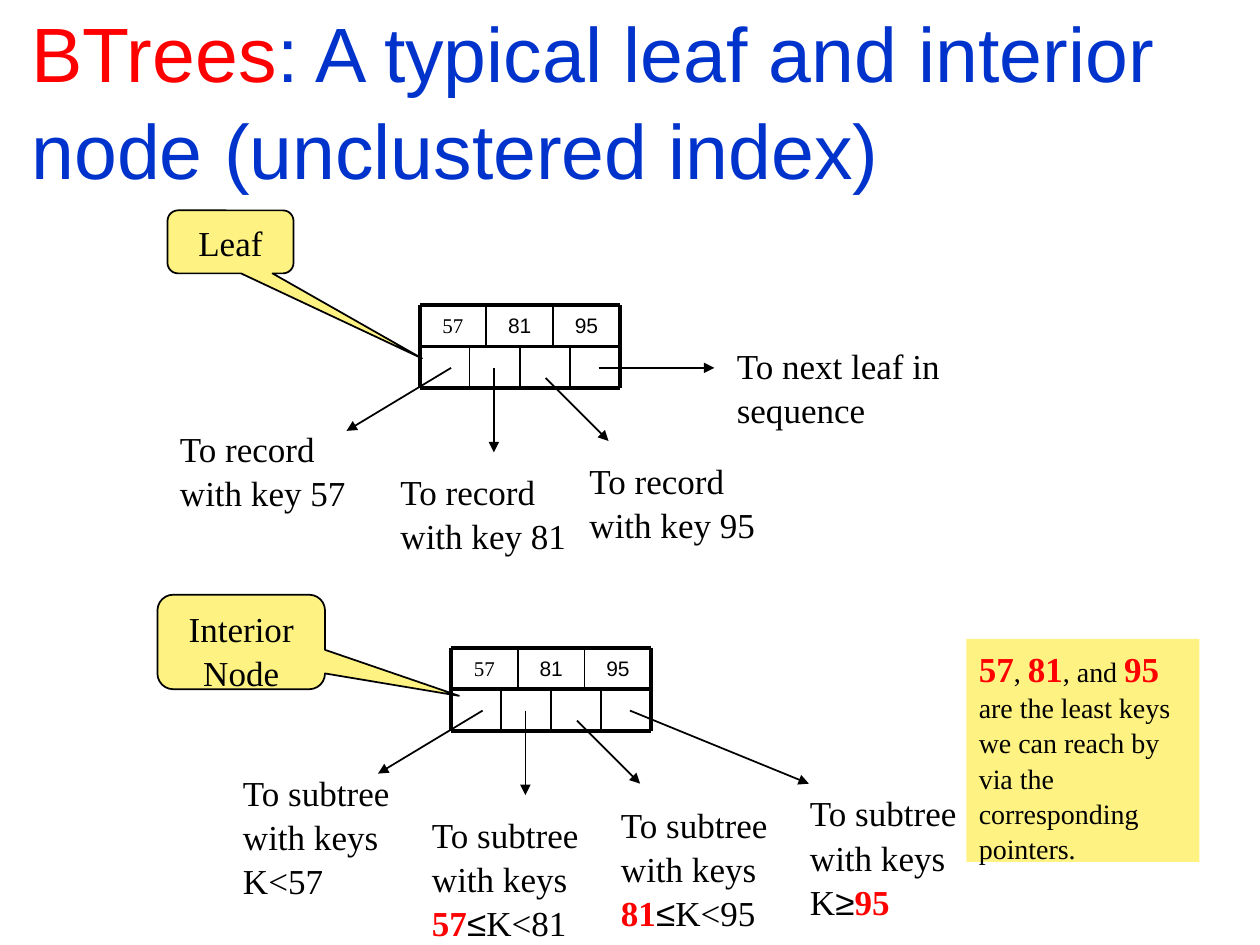
import lxml.etree
import pptx
import pptx.util
import pptx.dml.color
import pptx.enum.shapes
import pptx.enum.text
import pptx.oxml.ns
from pptx.util import Inches

BLACK = pptx.dml.color.RGBColor(0x00, 0x00, 0x00)
RED = pptx.dml.color.RGBColor(0xFF, 0x00, 0x00)
BLUE = pptx.dml.color.RGBColor(0x00, 0x33, 0xCC)
YELLOW = pptx.dml.color.RGBColor(0xFE, 0xF2, 0x82)
SHAPE = pptx.enum.shapes.MSO_SHAPE
ALIGN = pptx.enum.text.PP_ALIGN
ANCHOR = pptx.enum.text.MSO_ANCHOR
AUTO_SIZE = pptx.enum.text.MSO_AUTO_SIZE

FORMATS = {
    "title": {"name": "Arial", "size": 44, "color": BLUE},
    "title_red": {"name": "Arial", "size": 44, "color": RED},
    "text": {"name": "Times New Roman", "size": 20, "color": BLACK},
    "symbol": {"name": "Arial", "size": 20, "color": BLACK},
    "key": {"name": "Times New Roman", "size": 20, "color": RED, "bold": True},
    "note": {"name": "Times New Roman", "size": 16, "color": BLACK},
    "cell": {"name": "Arial", "size": 12, "color": BLACK},
    "cell_serif": {"name": "Times New Roman", "size": 12, "color": BLACK},
}


def write_text(box, paragraphs, align=ALIGN.LEFT, anchor=ANCHOR.TOP, wrap=True):
    frame = box.text_frame
    frame.auto_size = AUTO_SIZE.NONE
    frame.word_wrap = wrap
    frame.vertical_anchor = anchor
    for index, spans in enumerate(paragraphs):
        para = frame.add_paragraph() if index else frame.paragraphs[0]
        para.alignment = align
        para.line_spacing = 1.05
        for text, style in spans:
            span = para.add_run()
            span.text = text
            for field, value in FORMATS[style].items():
                if field == "color":
                    span.font.color.rgb = value
                elif field == "size":
                    span.font.size = pptx.util.Pt(value)
                else:
                    setattr(span.font, field, value)


def draw_line(start, end, width=1, arrow=False):
    line = page.shapes.add_connector(
        pptx.enum.shapes.MSO_CONNECTOR.STRAIGHT,
        *[Inches(length) for length in (*start, *end)])
    line.line.color.rgb = BLACK
    line.line.width = pptx.util.Pt(width)
    qn = pptx.oxml.ns.qn
    properties = line._element.find(qn("p:spPr"))
    if arrow:
        lxml.etree.SubElement(properties.find(qn("a:ln")), qn("a:tailEnd"), type="triangle")
    lxml.etree.SubElement(properties, qn("a:effectLst"))


deck = pptx.Presentation()
deck.slide_width, deck.slide_height = Inches(10), Inches(7.5)
page = deck.slides.add_slide(deck.slide_layouts[5])

title = page.shapes.title
title.left, title.top = Inches(0.15), Inches(0.17)
title.width, title.height = Inches(9.66), Inches(1.21)
write_text(title, [[("BTrees", "title_red"),
                    (": A typical leaf and interior node (unclustered index)", "title")]],
           anchor=ANCHOR.MIDDLE)

NODE_WIDTH, ROW_HEIGHT = 1.59, 0.33
KEYS = [("57", "cell_serif"), ("81", "cell"), ("95", "cell")]
KEY_WIDTH = NODE_WIDTH / len(KEYS)
POINTER_ARROWS = [((0.25, 0.5), (-0.58, 1)), ((0.59, 0.5), (0.59, 1.17)),
                  ((1, 0.58), (1.5, 1.08))]

nodes = [
    {"origin": (3.33, 2.42), "last_end": (2.34, 0.5), "label": "Leaf",
     "callout": (1.33, 1.67, 1, 0.5), "tip": (1.52, 1.85)},
    {"origin": (3.58, 5.14), "last_end": (2.84, 1.08), "label": "Interior Node",
     "callout": (1.25, 4.72, 1.33, 0.75), "tip": (1.3, 0.57)},
]

for node in nodes:
    left, top = node["origin"]
    right = left + NODE_WIDTH
    for index, key in enumerate(KEYS):
        cell = page.shapes.add_textbox(Inches(left + index * KEY_WIDTH), Inches(top),
                                       Inches(KEY_WIDTH), Inches(ROW_HEIGHT))
        write_text(cell, [[key]], align=ALIGN.CENTER)

    for row in range(3):
        y = top + row * ROW_HEIGHT
        draw_line((left, y), (right, y), 2.25)
    for row, columns in enumerate((3, 4)):
        y = top + row * ROW_HEIGHT
        for column in range(columns + 1):
            x = left + column * NODE_WIDTH / columns
            width = 2.25 if column in (0, columns) else 1
            draw_line((x, y), (x, y + ROW_HEIGHT), width)

    for start, end in POINTER_ARROWS + [((1.42, 0.5), node["last_end"])]:
        draw_line((left + start[0], top + start[1]),
                  (left + end[0], top + end[1]), arrow=True)

    callout = page.shapes.add_shape(SHAPE.ROUNDED_RECTANGULAR_CALLOUT,
                                    *[Inches(length) for length in node["callout"]])
    callout.shadow.inherit = False
    callout.adjustments[0], callout.adjustments[1] = node["tip"]
    callout.fill.solid()
    callout.fill.fore_color.rgb = YELLOW
    callout.line.color.rgb = BLACK
    callout.line.width = pptx.util.Pt(1)
    write_text(callout, [[(node["label"], "text")]], align=ALIGN.CENTER)

record = [("To record", "text")]
subtree = [[("To subtree", "text")], [("with keys", "text")]]
captions = [
    (1.33, 3.33, 1.51, [record, [("with key 57", "text")]]),
    (3.08, 3.67, 1.51, [record, [("with key 81", "text")]]),
    (4.58, 3.58, 1.51, [record, [("with key 95", "text")]]),
    (5.75, 2.67, 1.9, [[("To next leaf in", "text")], [("sequence", "text")]]),
    (1.83, 6.06, 1.45, subtree + [[("K<57", "text")]]),
    (3.33, 6.39, 1.45, subtree + [[("57", "key"), ("≤", "symbol"), ("K<81", "text")]]),
    (4.83, 6.31, 1.45, subtree + [[("81", "key"), ("≤", "symbol"), ("K<95", "text")]]),
    (6.33, 6.22, 1.45, subtree + [[("K", "text"), ("≥", "symbol"), ("95", "key")]]),
]
for left, top, width, paragraphs in captions:
    height = 0.1 + len(paragraphs) / 3
    caption = page.shapes.add_textbox(Inches(left), Inches(top), Inches(width), Inches(height))
    write_text(caption, paragraphs, wrap=False)

note = page.shapes.add_shape(SHAPE.RECTANGLE, Inches(7.67), Inches(5.07),
                             Inches(1.85), Inches(1.77))
note.shadow.inherit = False
note.fill.solid()
note.fill.fore_color.rgb = YELLOW
note.line.fill.background()
write_text(note, [[
    ("57", "key"), (", ", "note"), ("81", "key"), (", and ", "note"), ("95", "key"),
    (" are the least keys we can reach by via the corresponding pointers.", "note")]])

deck.save("out.pptx")
